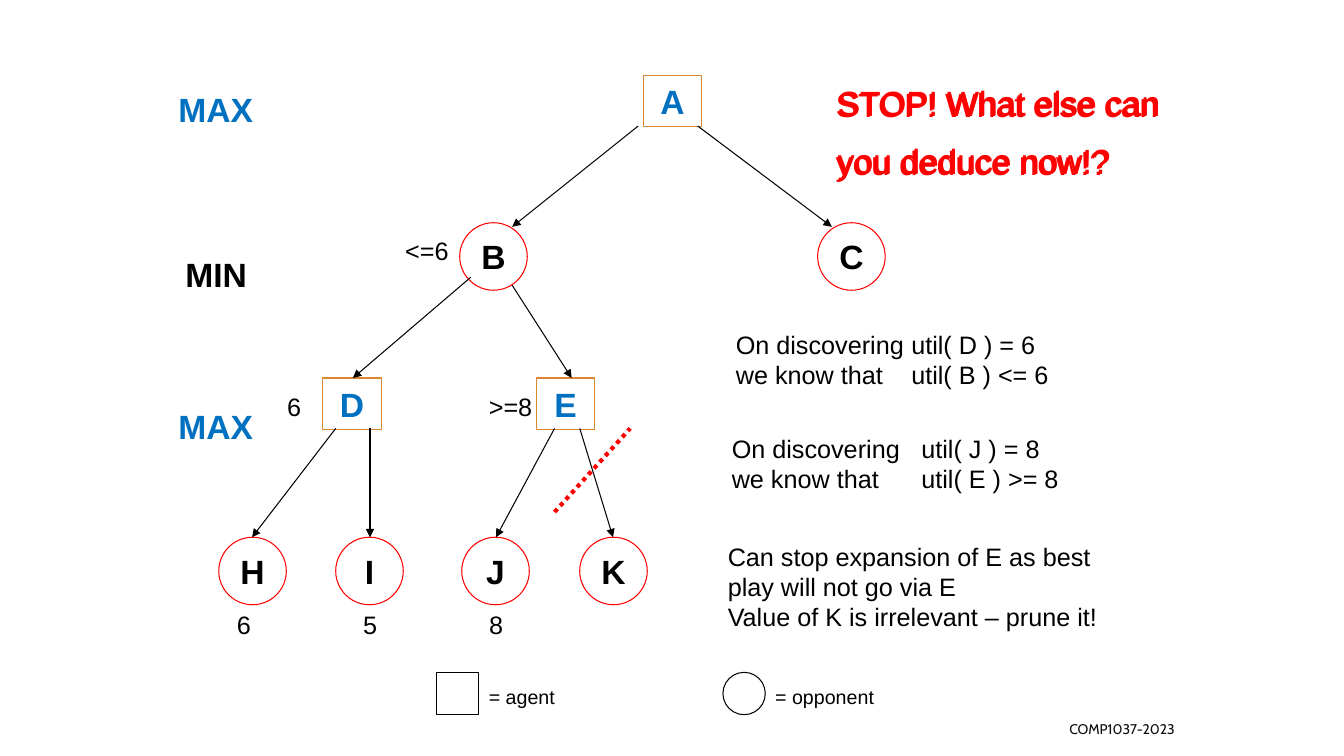
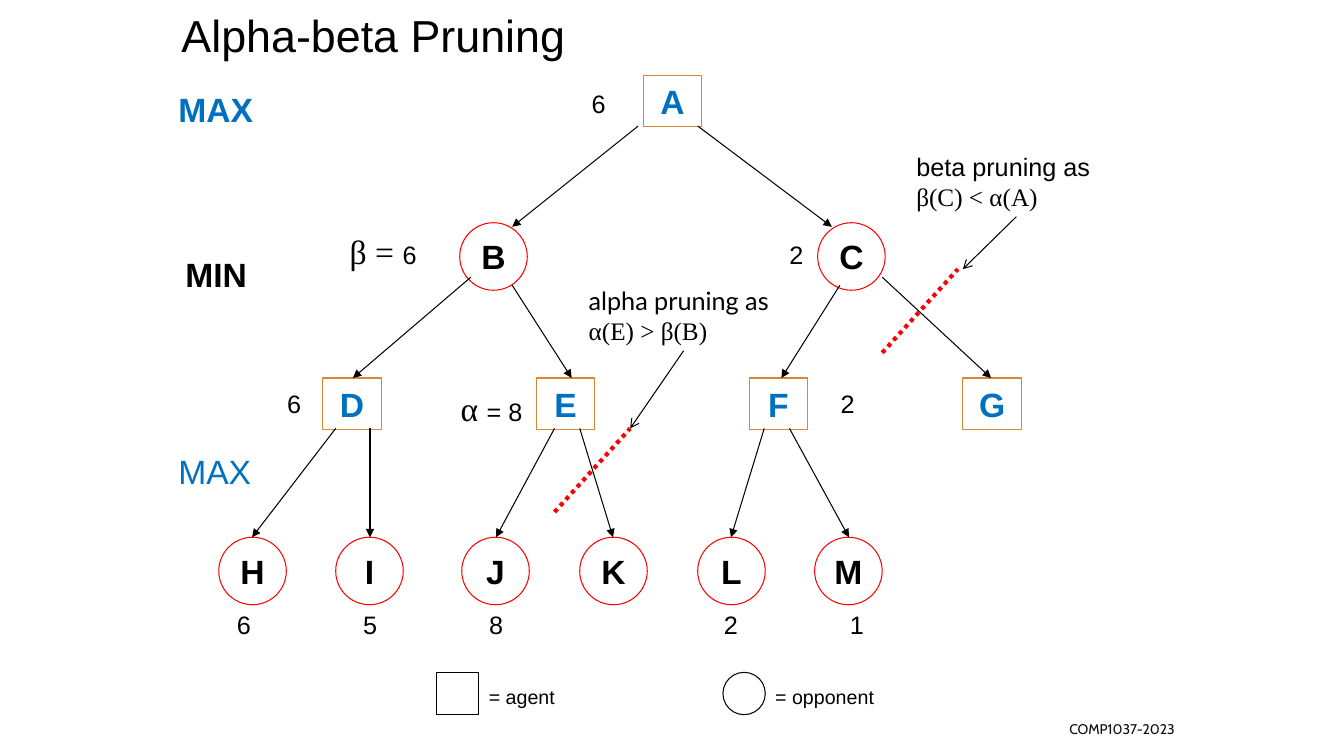
from pptx import Presentation
from pptx.dml.color import RGBColor
from pptx.enum.dml import MSO_LINE
from pptx.enum.shapes import MSO_CONNECTOR, MSO_SHAPE
from pptx.enum.text import MSO_ANCHOR, PP_ALIGN
from pptx.oxml.ns import qn
from pptx.util import Inches, Pt
from lxml.etree import SubElement

BLACK = RGBColor(0x00, 0x00, 0x00)
BLUE = RGBColor(0x00, 0x70, 0xC0)
RED = RGBColor(0xFF, 0x00, 0x00)
ORANGE = RGBColor(0xDB, 0x86, 0x31)
FOOTER_GREY = RGBColor(0x0D, 0x0D, 0x0D)
SANS, SERIF, ROUNDED, FOOTER_FONT = "Arial", "Times New Roman", "Lato", "Cabin"

TITLE_ONLY = 5
SQUARE_SIZE = (0.58, 0.51)
CIRCLE_SIZE = (0.67, 0.67)
KEY_SIZE = (0.42, 0.42)

AGENTS = {"A": (6.38, 0.75), "D": (3.2, 3.75), "E": (5.32, 3.75),
          "F": (7.43, 3.75), "G": (9.55, 3.75)}
OPPONENTS = {"B": (4.56, 2.21), "C": (8.11, 2.21), "H": (2.17, 5.33),
             "I": (3.33, 5.33), "J": (4.58, 5.33), "K": (5.75, 5.33),
             "L": (6.92, 5.33), "M": (8.08, 5.33)}
EDGES = {"AB": ((6.33, 1.25), (5.08, 2.25)), "AC": ((6.92, 1.25), (8.25, 2.25)),
         "BD": ((4.67, 2.75), (3.5, 3.75)), "BE": ((5.08, 2.83), (5.67, 3.75)),
         "CF": ((8.33, 2.83), (7.75, 3.75)), "CG": ((8.75, 2.75), (9.83, 3.75)),
         "DH": ((3.33, 4.25), (2.5, 5.33)), "DI": ((3.67, 4.25), (3.67, 5.33)),
         "EJ": ((5.5, 4.25), (4.92, 5.33)), "EK": ((5.75, 4.25), (6.08, 5.33)),
         "FL": ((7.58, 4.25), (7.25, 5.33)), "FM": ((7.83, 4.25), (8.42, 5.33))}
LEAF_VALUES = {"H": ("6", 2.42), "I": ("5", 3.67), "J": ("8", 4.92),
               "L": ("2", 7.25), "M": ("1", 8.5)}


def write(shape, lines, size=18, color=BLACK, bold=False, font=SANS,
          align=PP_ALIGN.LEFT, anchor=MSO_ANCHOR.TOP, gap=0, tab=None):
    """Fill a shape with lines, each a string or a tuple of (text, font, size) runs."""
    frame = shape.text_frame
    frame.word_wrap = True
    frame.vertical_anchor = anchor
    for index, line in enumerate(lines):
        paragraph = frame.add_paragraph() if index else frame.paragraphs[0]
        paragraph.alignment = align
        if index and gap:
            paragraph.space_before = Pt(gap)
        if tab:
            tabs = SubElement(paragraph._p.get_or_add_pPr(), qn("a:tabLst"))
            SubElement(tabs, qn("a:tab"), pos=str(Inches(tab)), algn="l")
        paragraph.font.size = Pt(size)
        paragraph.font.name = font
        paragraph.font.bold = bold
        paragraph.font.color.rgb = color
        if isinstance(line, str):
            paragraph.add_run().text = line
            continue
        for text, run_font, run_size in line:
            run = paragraph.add_run()
            run.text = text
            run.font.name = run_font
            run.font.size = Pt(run_size)


def add_text(slide, lines, left, top, width, height, **style):
    """Add a text box."""
    box = slide.shapes.add_textbox(Inches(left), Inches(top), Inches(width), Inches(height))
    write(box, lines, **style)


def set_title(slide, lines, left, top, width, height, **style):
    """Place and fill the title placeholder."""
    title = slide.shapes.title
    title.left, title.top = Inches(left), Inches(top)
    title.width, title.height = Inches(width), Inches(height)
    write(title, lines, **style)


def add_outline(slide, preset, position, size, color):
    """Add an unfilled shape with a thin outline."""
    shape = slide.shapes.add_shape(preset, *map(Inches, position + size))
    shape.shadow.inherit = False
    shape.fill.background()
    shape.line.color.rgb = color
    shape.line.width = Pt(0.75)
    return shape


def add_node(slide, name):
    """Add a lettered square for an agent or circle for an opponent."""
    if name in AGENTS:
        shape = add_outline(slide, MSO_SHAPE.RECTANGLE, AGENTS[name], SQUARE_SIZE, ORANGE)
    else:
        shape = add_outline(slide, MSO_SHAPE.OVAL, OPPONENTS[name], CIRCLE_SIZE, RED)
    frame = shape.text_frame
    frame.margin_left = frame.margin_right = frame.margin_top = frame.margin_bottom = 0
    write(shape, [name], size=24, bold=True, color=BLUE if name in AGENTS else BLACK,
          align=PP_ALIGN.CENTER, anchor=MSO_ANCHOR.MIDDLE)


def add_line(slide, start, end, color=BLACK, width=0.75, head=None):
    """Add a straight line, with an arrowhead at its end if one is named."""
    line = slide.shapes.add_connector(MSO_CONNECTOR.STRAIGHT, *map(Inches, start + end))
    line.line.color.rgb = color
    line.line.width = Pt(width)
    if head:
        SubElement(line.line._get_or_add_ln(), qn("a:tailEnd"), type=head)
    SubElement(line._element.spPr, qn("a:effectLst"))
    return line


def add_prune_mark(slide, start, end):
    """Add a dotted red line across a pruned branch."""
    add_line(slide, start, end, RED, 3).line.dash_style = MSO_LINE.ROUND_DOT


def add_tree(slide, names):
    """Draw the named nodes, the arrows between them and the leaf values."""
    for name in names:
        add_node(slide, name)
    for (parent, child), (start, end) in EDGES.items():
        if parent in names and child in names:
            add_line(slide, start, end, head="triangle")
    for name, (value, center) in LEAF_VALUES.items():
        if name in names:
            add_text(slide, [value], center - 0.5, 6, 1, 0.4, align=PP_ALIGN.CENTER)


def add_level_labels(slide, lower_top, lower_bold):
    """Label the levels of the tree."""
    add_text(slide, ["MAX"], 1.67, 0.83, 1.08, 0.5, size=24, color=BLUE, bold=True)
    add_text(slide, ["MIN"], 1.74, 2.47, 1.08, 0.5, size=24, bold=True)
    add_text(slide, ["MAX"], 1.67, lower_top, 1.08, 0.5, size=24, color=BLUE, bold=lower_bold)


def add_key_and_footer(slide):
    """Add the key of node shapes and the course footer."""
    for preset, left, meaning in ((MSO_SHAPE.RECTANGLE, 4.33, "= agent"),
                                  (MSO_SHAPE.OVAL, 7.17, "= opponent")):
        add_outline(slide, preset, (left, 6.67), KEY_SIZE, BLACK)
        add_text(slide, [meaning], left + KEY_SIZE[0], 6.75, 1.83, 0.33, size=14)
    add_text(slide, ["COMP1037-2023"], 5.3, 7.08, 6.45, 0.3, size=10, color=FOOTER_GREY,
             font=FOOTER_FONT, align=PP_ALIGN.RIGHT, anchor=MSO_ANCHOR.MIDDLE)


def add_tree_slide(presentation, names, lower_top, lower_bold):
    """Add a slide with the parts that both trees share."""
    slide = presentation.slides.add_slide(presentation.slide_layouts[TITLE_ONLY])
    add_tree(slide, names)
    add_level_labels(slide, lower_top, lower_bold)
    add_prune_mark(slide, (5.5, 5.08), (6.25, 4.25))
    add_key_and_footer(slide)
    return slide


def build_deduction_slide(presentation):
    """Build the slide that deduces the first pruning."""
    slide = add_tree_slide(presentation, "ABCDEHIJK", 3.98, True)
    question = ["STOP! What else can", "you deduce now!?"]
    question_style = {"size": 24, "color": RED, "gap": 13}
    for left, top in ((8.21, 0.77), (8.19, 0.78)):
        add_text(slide, question, left, top, 3.49, 1.11, **question_style)
    set_title(slide, question, 8.21, 0.76, 3.49, 1.11, **question_style)

    add_text(slide, ["<=6"], 3.92, 2.29, 0.75, 0.4)
    add_text(slide, ["6"], 2.75, 3.83, 0.45, 0.4)
    add_text(slide, [">=8"], 4.75, 3.83, 0.67, 0.4)
    add_text(slide, ["On discovering\tutil( D ) = 6", "we know that\tutil( B ) <= 6"],
             7.2, 3.22, 3.9, 0.71, tab=1.74)
    add_text(slide, ["On discovering\tutil( J ) = 8", "we know that\tutil( E ) >= 8"],
             7.16, 4.25, 3.9, 0.71, tab=1.88)
    add_text(slide, ["Can stop expansion of E as best play will not go via E",
                     "Value of K is irrelevant – prune it!"], 7.12, 5.32, 3.9, 1.01)


def build_pruning_slide(presentation):
    """Build the slide with the whole alpha-beta pruned tree."""
    slide = add_tree_slide(presentation, "ABCDEFGHIJKLM", 4.42, False)
    set_title(slide, ["Alpha-beta Pruning"], 1.7, 0.03, 6.5, 0.63, size=32)
    add_prune_mark(slide, (8.75, 3.5), (9.5, 2.67))

    for value, left, top in (("6", 5.77, 0.83), ("2", 7.73, 2.33),
                             ("6", 2.75, 3.8), ("2", 8.24, 3.8)):
        add_text(slide, [value], left, top, 0.5, 0.4)
    add_text(slide, [(("β = ", SERIF, 24), ("6", SANS, 18))], 3.37, 2.24, 1.1, 0.5)
    add_text(slide, [(("α ", SERIF, 24), ("= 8", SANS, 18))], 4.47, 3.8, 0.94, 0.51)

    add_text(slide, [(("alpha pruning as", ROUNDED, 18),), (("α(E) > β(B)", SERIF, 18),)],
             5.74, 2.78, 2.08, 0.7)
    add_line(slide, (6.78, 3.48), (6.25, 4.25), head="arrow")
    add_text(slide, [(("beta pruning as", SANS, 18),), (("β(C) < α(A)", SERIF, 18),)],
             8.99, 1.45, 2.17, 0.71)
    add_line(slide, (10.08, 2.15), (9.55, 2.67), head="arrow")


def main():
    """Build and save the presentation."""
    presentation = Presentation()
    presentation.slide_width = Inches(13.33)
    presentation.slide_height = Inches(7.5)
    build_deduction_slide(presentation)
    build_pruning_slide(presentation)
    presentation.save("out.pptx")


if __name__ == "__main__":
    main()
